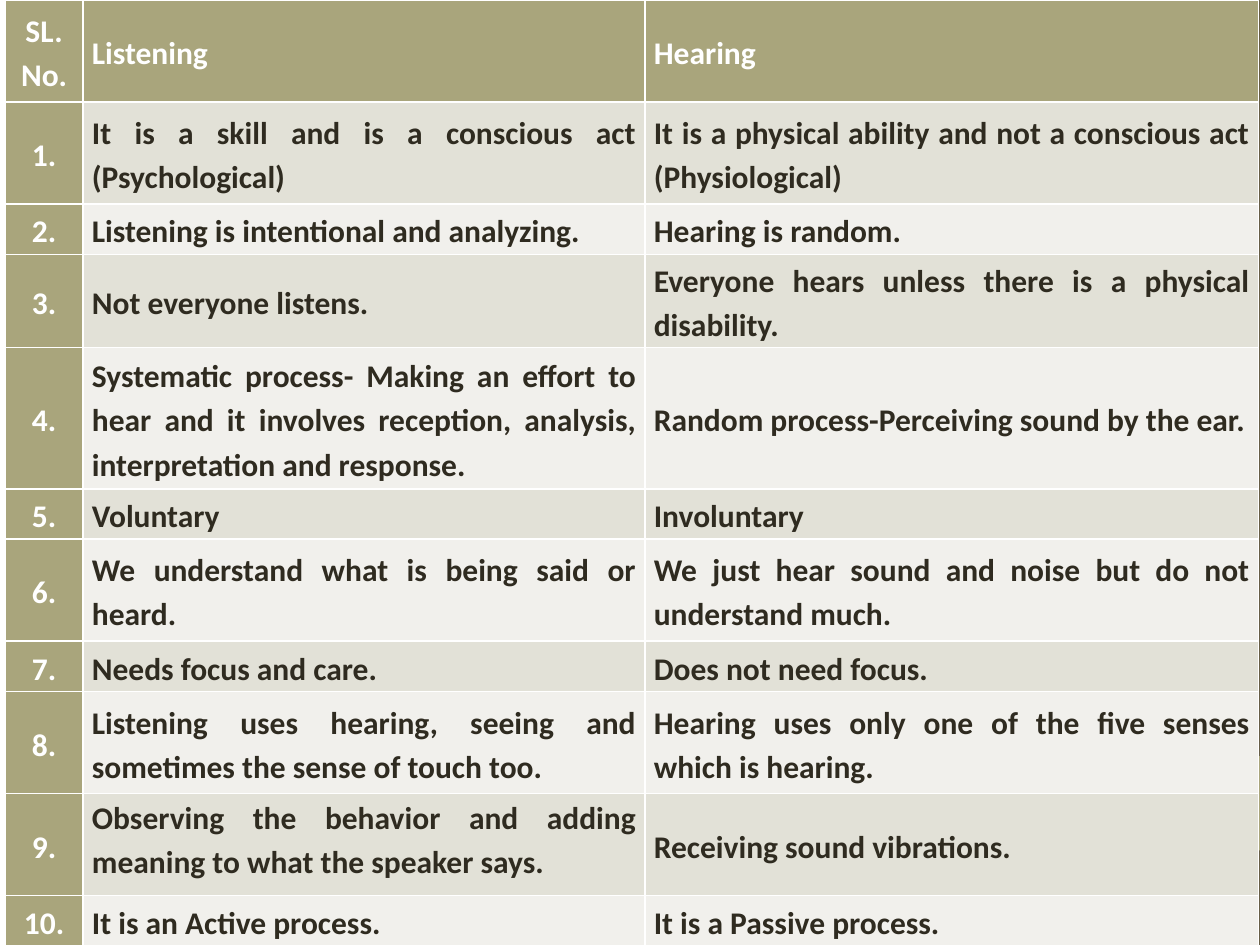
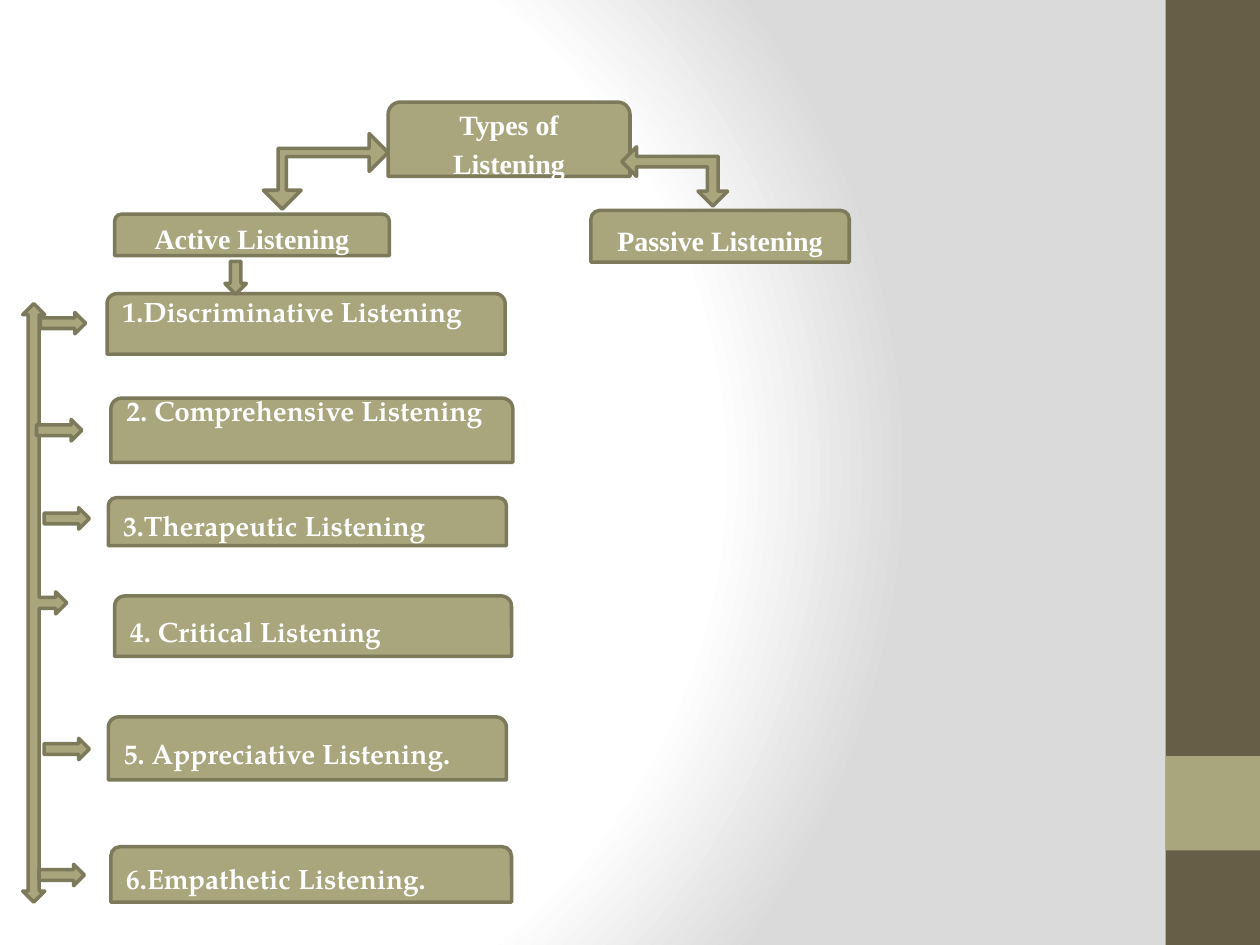
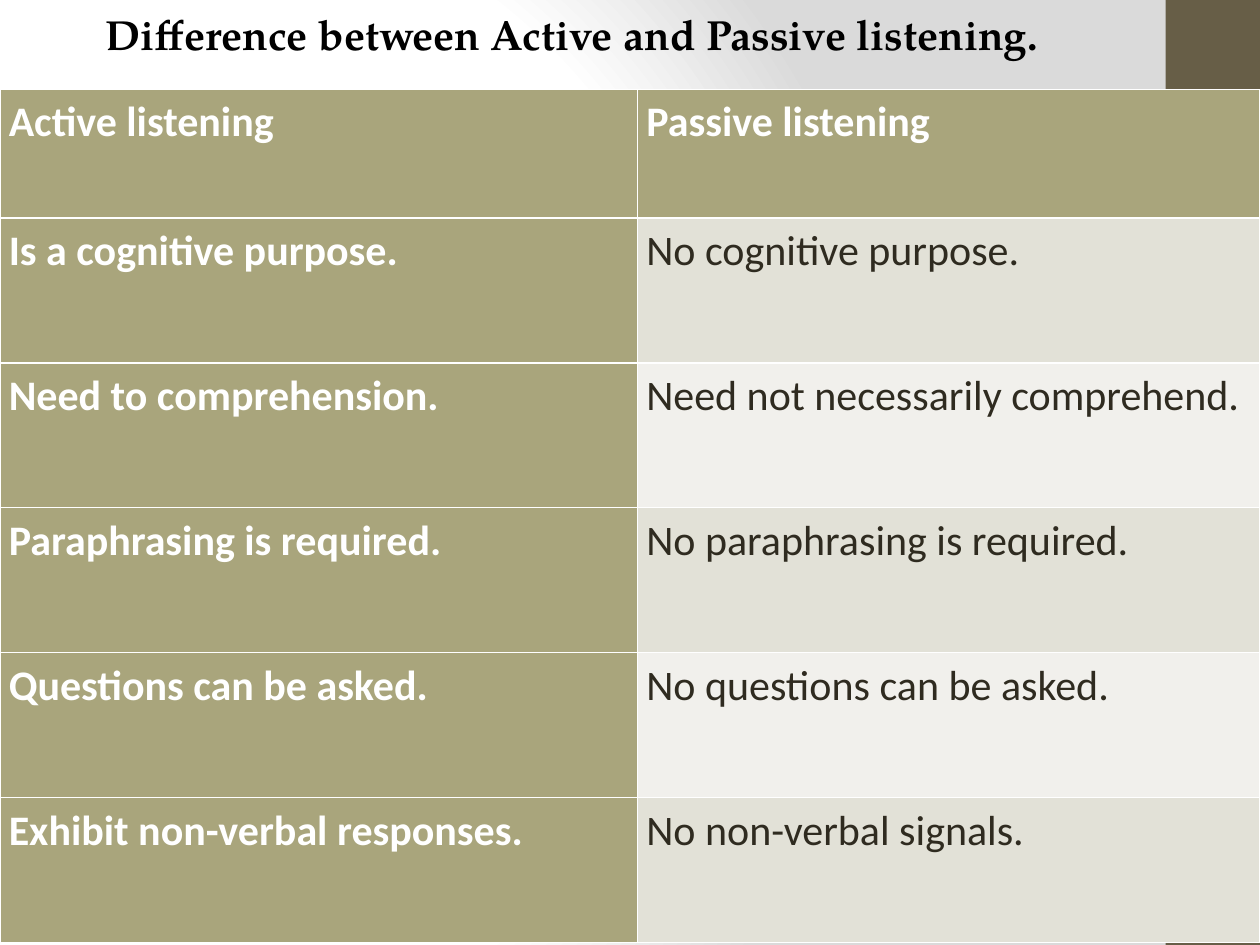
from pptx import Presentation
from pptx.dml.color import RGBColor
from pptx.enum.shapes import MSO_SHAPE
from pptx.enum.text import MSO_ANCHOR, PP_ALIGN
from pptx.oxml import parse_xml
from pptx.util import Inches, Pt

RECTANGLE = MSO_SHAPE.RECTANGLE
BOX = MSO_SHAPE.ROUND_2_SAME_RECTANGLE
RIGHT_ARROW = MSO_SHAPE.RIGHT_ARROW
ELBOW_ARROW = MSO_SHAPE.LEFT_UP_ARROW
SPINE_ARROW = MSO_SHAPE.LEFT_RIGHT_UP_ARROW
TOP, MIDDLE = MSO_ANCHOR.TOP, MSO_ANCHOR.MIDDLE
LEFT, CENTER, JUSTIFY = PP_ALIGN.LEFT, PP_ALIGN.CENTER, PP_ALIGN.JUSTIFY

OLIVE = "A9A57C"
OLIVE_DARK = "7D7A5C"
BROWN = "675E47"
INK = "2F2B20"
WHITE = "FFFFFF"
ROW_FILLS = ["F1F0EC", "E2E1D7"]
SERIF = "TeX Gyre Pagella"

BACKGROUND = """
<a:gradFill xmlns:a="http://schemas.openxmlformats.org/drawingml/2006/main" rotWithShape="1">
  <a:gsLst>
    <a:gs pos="0"><a:srgbClr val="FFFFFF"/></a:gs>
    <a:gs pos="75000"><a:srgbClr val="FFFFFF"/></a:gs>
    <a:gs pos="100000"><a:srgbClr val="DADADA"/></a:gs>
  </a:gsLst>
  <a:path path="circle"><a:fillToRect l="20000" t="50000" r="100000" b="50000"/></a:path>
</a:gradFill>
"""


def paint(fill, color):
    fill.solid()
    fill.fore_color.rgb = RGBColor.from_string(color)


def write(text_frame, text, font="Calibri", size=16, color=WHITE, bold=True,
          align=LEFT, spacing=1.15, after=10):
    paragraph = text_frame.paragraphs[0]
    paragraph.alignment = align
    paragraph.line_spacing = spacing
    paragraph.space_after = Pt(after)
    run = paragraph.add_run()
    run.text = text
    run.font.name = font
    run.font.size = Pt(size)
    run.font.bold = bold
    paint(run.font.fill, color)


presentation = Presentation()
presentation.slide_width = Inches(10)
presentation.slide_height = Inches(7.5)
title_only, blank = presentation.slide_layouts[5], presentation.slide_layouts[6]
hearing_slide = presentation.slides.add_slide(blank)
types_slide = presentation.slides.add_slide(blank)
difference_slide = presentation.slides.add_slide(title_only)

master = presentation.slide_master
master.background.fill.solid()
background = master.background.fill
solid_fill = master.element.cSld.bg.bgPr[0]
solid_fill.getparent().replace(solid_fill, parse_xml(BACKGROUND))
for band_id, top, height, color in [(21, 0, 7.5, BROWN), (22, 6, 0.75, OLIVE)]:
    band = types_slide.shapes.add_shape(
        RECTANGLE, Inches(9.25), Inches(top), Inches(0.75), Inches(height))
    band.shadow.inherit = False
    paint(band.fill, color)
    band.line.fill.background()
    band.element.nvSpPr.cNvPr.set("id", str(band_id))
    master.shapes.element.append(band.element)

hearing_rows = [
    ("SL. No.", "Listening", "Hearing"),
    ("1.", "It is a skill and is a conscious act (Psychological)",
     "It is a physical ability and not a conscious act (Physiological)"),
    ("2.", "Listening is intentional and analyzing.", "Hearing is random."),
    ("3.", "Not everyone listens.", "Everyone hears unless there is a physical disability."),
    ("4.", "Systematic process- Making an effort to hear and it involves reception, "
     "analysis, interpretation and response.", "Random process-Perceiving sound by the ear."),
    ("5.", "Voluntary", "Involuntary"),
    ("6.", "We understand what is being said or heard.",
     "We just hear sound and noise but do not understand much."),
    ("7.", "Needs focus and care.", "Does not need focus."),
    ("8.", "Listening uses hearing, seeing and sometimes the sense of touch too.",
     "Hearing uses only one of the five senses which is hearing."),
    ("9.", "Observing the behavior and adding meaning to what the speaker says.",
     "Receiving sound vibrations."),
    ("10.", "It is an Active process.", "It is a Passive process."),
]
difference_rows = [
    ("Active listening", "Passive listening"),
    ("Is a cognitive purpose.", "No cognitive purpose."),
    ("Need to comprehension.", "Need not necessarily comprehend."),
    ("Paraphrasing is required.", "No paraphrasing is required."),
    ("Questions can be asked.", "No questions can be asked."),
    ("Exhibit non-verbal responses.", "No non-verbal signals."),
]
hearing_heights = [0.81, 0.81, 0.4, 0.74, 1.12, 0.4, 0.81, 0.4, 0.81, 0.81, 0.4]
difference_heights = [1.02] + [1.15] * 5
tables = [
    (hearing_slide, hearing_rows, 0.04, 0, [0.62, 4.46, 4.87], hearing_heights,
     18, MIDDLE, CENTER, True),
    (difference_slide, difference_rows, 0, 0.71, [5.06, 4.94], difference_heights,
     24, TOP, JUSTIFY, False),
]
for slide, rows, left, top, widths, heights, size, anchor, first_align, body_bold in tables:
    table = slide.shapes.add_table(
        len(rows), len(widths), Inches(left), Inches(top),
        Inches(sum(widths)), Inches(sum(heights))).table
    table.first_col = True
    for column, width in zip(table.columns, widths):
        column.width = Inches(width)
    for row_index, (texts, height) in enumerate(zip(rows, heights)):
        table.rows[row_index].height = Inches(height)
        for column_index, text in enumerate(texts):
            cell = table.cell(row_index, column_index)
            heading = row_index == 0 or column_index == 0
            cell.margin_left = cell.margin_right = Inches(0.07)
            cell.margin_top = cell.margin_bottom = 0
            cell.vertical_anchor = anchor
            paint(cell.fill, OLIVE if heading else ROW_FILLS[row_index % 2])
            write(cell.text_frame, text, size=size, color=WHITE if heading else INK,
                  bold=heading or body_bold,
                  align=first_align if column_index == 0 else JUSTIFY)
    if slide is hearing_slide:
        table.cell(9, 1).vertical_anchor = TOP

headings = [
    ("Types of Listening", 3.08, 0.81, 1.92, 0.59),
    ("Active Listening", 0.91, 1.7, 2.18, 0.33),
    ("Passive Listening", 4.69, 1.67, 2.05, 0.41),
]
active_types = [
    ("1.Discriminative Listening", 0.85, 2.33, 3.16, 0.48, -0.11),
    ("2. Comprehensive Listening", 0.88, 3.16, 3.19, 0.51, -0.17),
    ("3.Therapeutic Listening", 0.86, 3.95, 3.16, 0.38, 0.02),
    ("4. Critical Listening", 0.91, 4.73, 3.15, 0.48, 0.03),
    ("5. Appreciative Listening.", 0.86, 5.69, 3.16, 0.5, 0.03),
    ("6.Empathetic Listening.", 0.88, 6.72, 3.18, 0.44, 0.02),
]
arrows = [
    (ELBOW_ARROW, 5.12, 0.98, 0.47, 0.84, 270, [0.18, 0.25, 0.25]),
    (ELBOW_ARROW, 2.09, 1.06, 0.99, 0.6, 180, [0.11, 0.25, 0.25]),
    (SPINE_ARROW, -2.02, 4.61, 4.75, 0.35, 90, []),
    (RIGHT_ARROW, 1.74, 2.12, 0.26, 0.17, 90, []),
]
for left, top in [(0.32, 2.48), (0.29, 3.33), (0.35, 4.03), (0.35, 5.86), (0.31, 6.86)]:
    arrows.append((RIGHT_ARROW, left, top, 0.36, 0.17, 0, []))

diagram = [(BOX, *place, 0, []) for text, *place in headings]
diagram += [(BOX, *place, 0, []) for text, *place, shift in active_types]
diagram += arrows
diagram_shapes = []
for kind, left, top, width, height, rotation, adjustments in diagram:
    shape = types_slide.shapes.add_shape(
        kind, Inches(left), Inches(top), Inches(width), Inches(height))
    shape.rotation = rotation
    shape.shadow.inherit = False
    paint(shape.fill, OLIVE)
    paint(shape.line.fill, OLIVE_DARK)
    shape.line.width = Pt(2)
    for index, value in enumerate(adjustments):
        shape.adjustments[index] = value
    diagram_shapes.append(shape)

for shape, (text, *place) in zip(diagram_shapes, headings):
    shape.text_frame.vertical_anchor = MIDDLE
    write(shape.text_frame, text, font="Times New Roman", align=CENTER)
for shape, (text, *place, shift) in zip(diagram_shapes[len(headings):], active_types):
    text_frame = shape.text_frame
    text_frame.vertical_anchor = MIDDLE
    text_frame.margin_top = Inches(max(2 * shift, 0))
    text_frame.margin_bottom = Inches(max(-2 * shift, 0))
    write(text_frame, text, font=SERIF, spacing=1.0, after=0)

title = difference_slide.shapes.title
title.left, title.top = Inches(0.67), Inches(0)
title.width, title.height = Inches(7.73), Inches(0.54)
title.text_frame.word_wrap = False
title.text_frame.vertical_anchor = MIDDLE
write(title.text_frame, "Difference between Active and Passive listening.",
      font=SERIF, size=24, color="000000", align=CENTER, spacing=1.0, after=0)

presentation.save("out.pptx")
